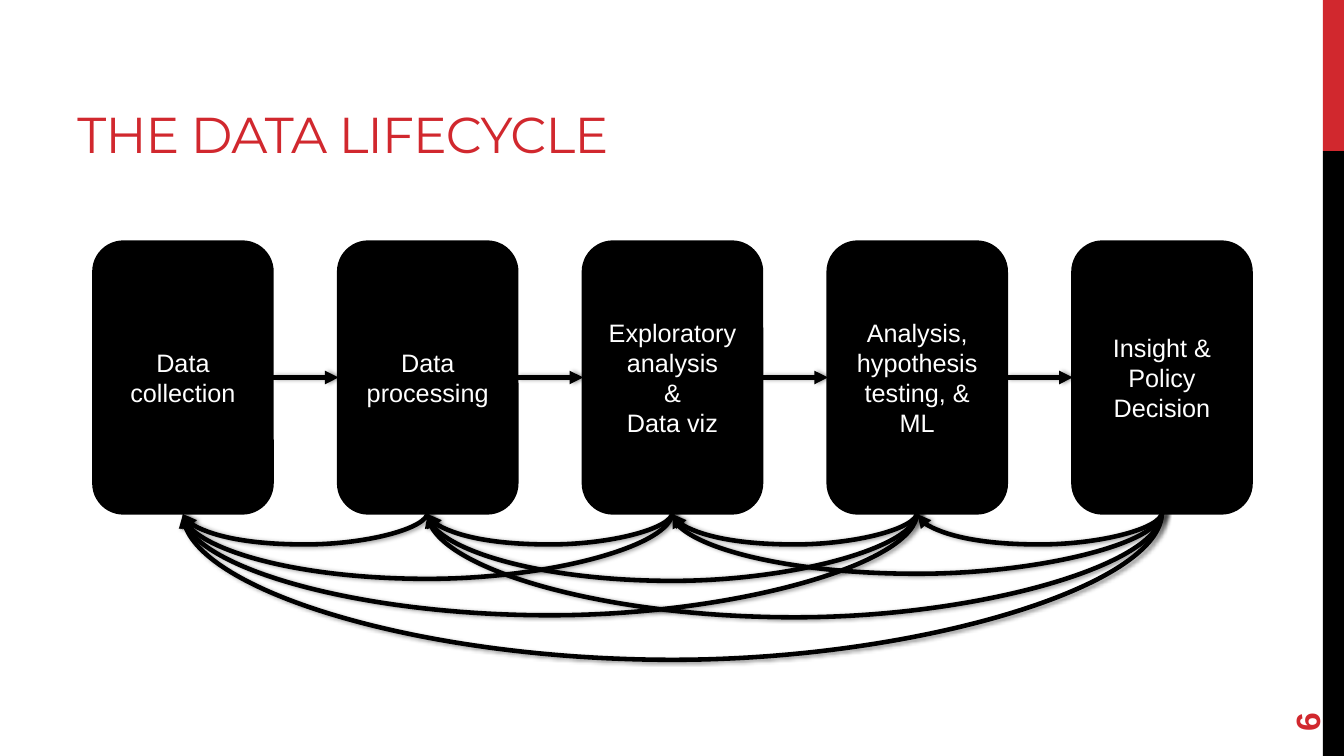
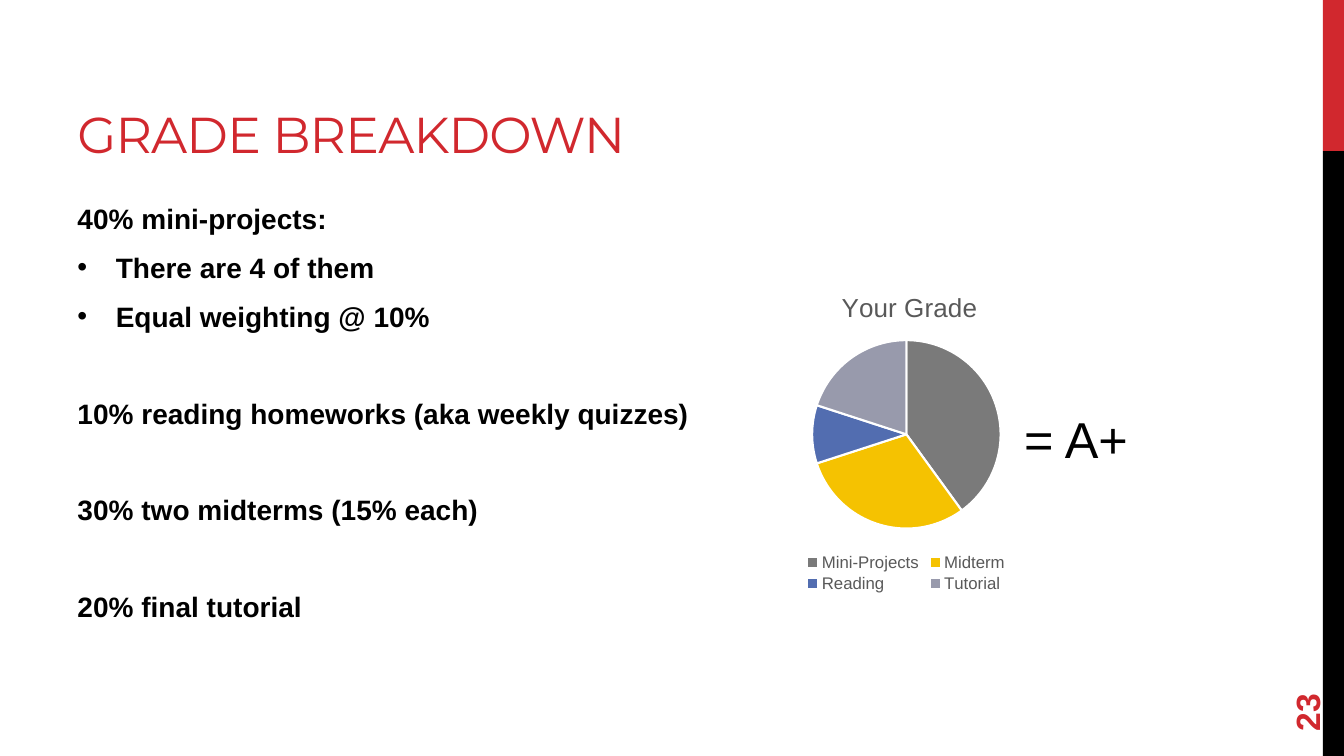
"""Build two course slides: the data lifecycle and the grade breakdown."""
from dataclasses import dataclass
from typing import Any

import lxml.etree
import pptx
import pptx.chart.data
import pptx.dml.color
import pptx.enum.chart
import pptx.enum.shapes
import pptx.enum.text
import pptx.oxml.ns
import pptx.util
from pptx.util import Inches

RED, BLACK, WHITE, GRAY = "D1282E", "000000", "FFFFFF", "595959"
BODY_FONT, TITLE_FONT = "Arial", "Montserrat"
BAND_LEFT, BAND_WIDTH, BAND_SPLIT = 13.12, 0.21, 1.5
STAGE_LEFT, STAGE_TOP, STAGE_WIDTH, STAGE_HEIGHT = 0.93, 2.4, 1.77, 2.69
LAST_STAGE_LEFT = 10.64
LEFT_SITE, BOTTOM_SITE, RIGHT_SITE = 1, 2, 3
CURVE_RISE = 0.02


@dataclass(frozen=True)
class Style:
    size: float
    color: str
    name: str = BODY_FONT
    bold: bool = False
    spacing: int = 0


@dataclass(frozen=True)
class Feedback:
    source: int
    target: int
    depth: float


@dataclass(frozen=True)
class Item:
    text: str
    before: float
    bullet: bool = False


@dataclass(frozen=True)
class Slice:
    label: str
    value: int
    color: str


TITLE_STYLE = Style(36, RED, TITLE_FONT, spacing=-60)
NUMBER_STYLE = Style(24, RED, bold=True)
STAGE_STYLE = Style(18, WHITE)
ITEM_STYLE = Style(20, BLACK, bold=True)
RESULT_STYLE = Style(36, BLACK)

STAGES = [
    ["Data collection"],
    ["Data processing"],
    ["Exploratory analysis", "&", "Data viz"],
    ["Analysis, hypothesis testing, & ML"],
    ["Insight & Policy Decision"],
]
FEEDBACKS = [
    Feedback(1, 0, 0.32), Feedback(2, 1, 0.32), Feedback(2, 0, 0.66),
    Feedback(3, 2, 0.32), Feedback(3, 1, 0.68), Feedback(3, 0, 1.02),
    Feedback(4, 3, 0.32), Feedback(4, 2, 0.61), Feedback(4, 1, 1.04),
    Feedback(4, 0, 1.46),
]
ITEMS = [
    Item("40% mini-projects:", 0),
    Item("There are 4 of them", 5, True),
    Item("Equal weighting @ 10%", 5, True),
    Item("10% reading homeworks (aka weekly quizzes)", 39),
    Item("30% two midterms (15% each)", 39),
    Item("20% final tutorial", 39),
]
SLICES = [
    Slice("Mini-Projects", 40, "7A7A7A"), Slice("Midterm", 30, "F5C201"),
    Slice("Reading", 10, "526DB0"), Slice("Tutorial", 20, "989AAC"),
]


def rgb(code: str) -> pptx.dml.color.RGBColor:
    """Turn a hex string into a colour."""
    return pptx.dml.color.RGBColor.from_string(code)


def add_element(parent: Any, tag: str, **attributes: str) -> Any:
    """Append a namespaced XML element."""
    return lxml.etree.SubElement(parent, pptx.oxml.ns.qn(tag), attributes)


def set_font(font: Any, style: Style) -> None:
    """Apply a text style to a font."""
    font.size, font.bold, font.name = pptx.util.Pt(style.size), style.bold, style.name
    font.color.rgb = rgb(style.color)


def write(frame: Any, lines: list[str], style: Style, align: Any = None) -> None:
    """Write one styled paragraph per line."""
    for index, line in enumerate(lines):
        para = frame.paragraphs[0] if index == 0 else frame.add_paragraph()
        para.text = line
        para.alignment = align
        set_font(para.font, style)
        if style.spacing:
            properties = para._p.get_or_add_pPr()
            properties.find(pptx.oxml.ns.qn("a:defRPr")).set("spc", str(style.spacing))


def add_text(page: Any, left: float, top: float, width: float, height: float,
             lines: list[str], style: Style, anchor: Any = None, wrap: bool = True) -> Any:
    """Add a text box."""
    box = page.shapes.add_textbox(Inches(left), Inches(top), Inches(width), Inches(height))
    box.text_frame.word_wrap = wrap
    box.text_frame.vertical_anchor = anchor
    write(box.text_frame, lines, style)
    return box


def add_block(page: Any, kind: Any, left: float, top: float, width: float,
              height: float, color: str) -> Any:
    """Add a filled shape without line or shadow."""
    block = page.shapes.add_shape(
        kind, Inches(left), Inches(top), Inches(width), Inches(height))
    block.shadow.inherit = False
    block.fill.solid()
    block.fill.fore_color.rgb = rgb(color)
    block.line.fill.background()
    return block


def add_page(deck: Any, title: str, number: int) -> Any:
    """Add a slide with the shared bands, title and number."""
    page = deck.slides.add_slide(deck.slide_layouts[6])
    rectangle = pptx.enum.shapes.MSO_SHAPE.RECTANGLE
    anchors = pptx.enum.text.MSO_ANCHOR
    add_block(page, rectangle, BAND_LEFT, 0, BAND_WIDTH, BAND_SPLIT, RED)
    add_block(page, rectangle, BAND_LEFT, BAND_SPLIT, BAND_WIDTH, 7.5 - BAND_SPLIT, BLACK)
    add_text(page, 0.67, 0.17, 8.44, 1.5, [title], TITLE_STYLE, anchors.BOTTOM)
    label = add_text(page, 12.24, 6.37, 1.44, 0.53, [str(number)], NUMBER_STYLE,
                     anchors.MIDDLE)
    label.rotation = 270
    return page


def add_stage(page: Any, left: float, lines: list[str]) -> Any:
    """Add one lifecycle stage."""
    stage = add_block(page, pptx.enum.shapes.MSO_SHAPE.ROUNDED_RECTANGLE, left,
                      STAGE_TOP, STAGE_WIDTH, STAGE_HEIGHT, BLACK)
    stage.line.color.rgb = rgb(BLACK)
    stage.line.width = pptx.util.Pt(2.25)
    stage.text_frame.word_wrap = True
    stage.text_frame.vertical_anchor = pptx.enum.text.MSO_ANCHOR.MIDDLE
    write(stage.text_frame, lines, STAGE_STYLE, pptx.enum.text.PP_ALIGN.CENTER)
    return stage


def add_arrow(page: Any, kind: Any, source: Any, source_site: int, target: Any,
              target_site: int) -> Any:
    """Connect two stages with a shadowed arrow."""
    arrow = page.shapes.add_connector(kind, 0, 0, 0, 0)
    arrow.begin_connect(source, source_site)
    arrow.end_connect(target, target_site)
    arrow.line.color.rgb = rgb(BLACK)
    arrow.line.width = pptx.util.Pt(3.25)
    properties = arrow.element.spPr
    add_element(properties.find(pptx.oxml.ns.qn("a:ln")), "a:tailEnd", type="triangle")
    shadow = add_element(add_element(properties, "a:effectLst"), "a:outerShdw",
                         blurRad="40000", dist="23000", dir="0", rotWithShape="0")
    add_element(add_element(shadow, "a:srgbClr", val=BLACK), "a:alpha", val="40000")
    return arrow


def add_feedback(page: Any, source: Any, target: Any, depth: float) -> None:
    """Curve an arrow below the stages, back to an earlier one."""
    arrow = add_arrow(page, pptx.enum.shapes.MSO_CONNECTOR.CURVE, source, BOTTOM_SITE,
                      target, BOTTOM_SITE)
    span = source.left - target.left
    middle = (source.left + target.left + source.width) // 2
    rise = Inches(CURVE_RISE)
    properties = arrow.element.spPr
    frame = properties.find(pptx.oxml.ns.qn("a:xfrm"))
    frame.attrib.clear()
    frame.set("rot", "5400000")
    arrow.left, arrow.top = middle - rise // 2, source.top + source.height - span // 2
    arrow.width, arrow.height = rise, span
    geometry = properties.find(pptx.oxml.ns.qn("a:prstGeom"))
    for guides in geometry.findall(pptx.oxml.ns.qn("a:avLst")):
        geometry.remove(guides)
    add_element(add_element(geometry, "a:avLst"), "a:gd", name="adj1",
                fmla=f"val {round(depth / CURVE_RISE * 100000)}")


def build_lifecycle(deck: Any) -> None:
    """Build the lifecycle slide."""
    page = add_page(deck, "THE DATA LIFECYCLE", 6)
    step = (LAST_STAGE_LEFT - STAGE_LEFT) / (len(STAGES) - 1)
    stages = [add_stage(page, STAGE_LEFT + index * step, lines)
              for index, lines in enumerate(STAGES)]
    for source, target in zip(stages, stages[1:]):
        add_arrow(page, pptx.enum.shapes.MSO_CONNECTOR.STRAIGHT, source, RIGHT_SITE,
                  target, LEFT_SITE)
    for feedback in FEEDBACKS:
        add_feedback(page, stages[feedback.source], stages[feedback.target], feedback.depth)


def add_items(page: Any) -> None:
    """Add the list of grade components."""
    box = page.shapes.add_textbox(Inches(0.67), Inches(1.95), Inches(11.11), Inches(4.75))
    box.text_frame.word_wrap = True
    for index, item in enumerate(ITEMS):
        para = box.text_frame.paragraphs[0] if index == 0 else box.text_frame.add_paragraph()
        para.text = item.text
        if item.bullet:
            properties = para._p.get_or_add_pPr()
            properties.set("marL", str(Inches(0.38)))
            properties.set("indent", str(-Inches(0.38)))
            add_element(properties, "a:buFont", typeface=BODY_FONT)
            add_element(properties, "a:buChar", char="•")
        para.space_before = pptx.util.Pt(item.before)
        para.space_after = pptx.util.Pt(6)
        set_font(para.font, ITEM_STYLE)


def place(element: Any, index: int, **fractions: float) -> None:
    """Give a chart part a manual layout."""
    for previous in element.findall(pptx.oxml.ns.qn("c:layout")):
        element.remove(previous)
    layout = add_element(element, "c:layout")
    manual = add_element(layout, "c:manualLayout")
    if "h" in fractions:
        add_element(manual, "c:layoutTarget", val="inner")
    for mode in ("xMode", "yMode"):
        add_element(manual, f"c:{mode}", val="edge")
    for name, fraction in fractions.items():
        add_element(manual, f"c:{name}", val=str(fraction))
    element.insert(index, layout)


def add_pie(page: Any) -> None:
    """Add the grade pie chart."""
    data = pptx.chart.data.CategoryChartData()
    data.categories = [part.label for part in SLICES]
    data.add_series("Your Grade", [part.value for part in SLICES])
    chart = page.shapes.add_chart(
        pptx.enum.chart.XL_CHART_TYPE.PIE, Inches(6.53), Inches(2.67), Inches(4.92),
        Inches(3.28), data).chart
    set_font(chart.font, Style(10, BLACK))
    chart.has_title = True
    write(chart.chart_title.text_frame, ["Your Grade"], Style(18.6, GRAY))
    chart.has_legend = True
    chart.legend.position = pptx.enum.chart.XL_LEGEND_POSITION.BOTTOM
    chart.legend.include_in_layout = False
    set_font(chart.legend.font, Style(12, GRAY))
    chart.plots[0].vary_by_categories = True
    for index, part in enumerate(SLICES):
        wedge = chart.plots[0].series[0].points[index].format
        wedge.fill.solid()
        wedge.fill.fore_color.rgb = rgb(part.color)
        wedge.line.color.rgb = rgb(WHITE)
        wedge.line.width = pptx.util.Pt(1.5)
    body = chart.element.find(pptx.oxml.ns.qn("c:chart"))
    place(body.find(pptx.oxml.ns.qn("c:title")), 1, x=0.36, y=0.05)
    place(body.find(pptx.oxml.ns.qn("c:plotArea")), 0, x=0.31, y=0.21, w=0.38, h=0.58)
    place(body.find(pptx.oxml.ns.qn("c:legend")), 1, x=0.29, y=0.85, w=0.42, h=0.14)


def build_grades(deck: Any) -> None:
    """Build the grade slide."""
    page = add_page(deck, "GRADE BREAKDOWN", 23)
    add_items(page)
    add_pie(page)
    add_text(page, 10.06, 4, 1.33, 0.71, ["= A+"], RESULT_STYLE, wrap=False)


def main() -> None:
    """Build and save the deck."""
    deck = pptx.Presentation()
    deck.slide_width, deck.slide_height = Inches(13.33), Inches(7.5)
    build_lifecycle(deck)
    build_grades(deck)
    deck.save("out.pptx")


if __name__ == "__main__":
    main()
